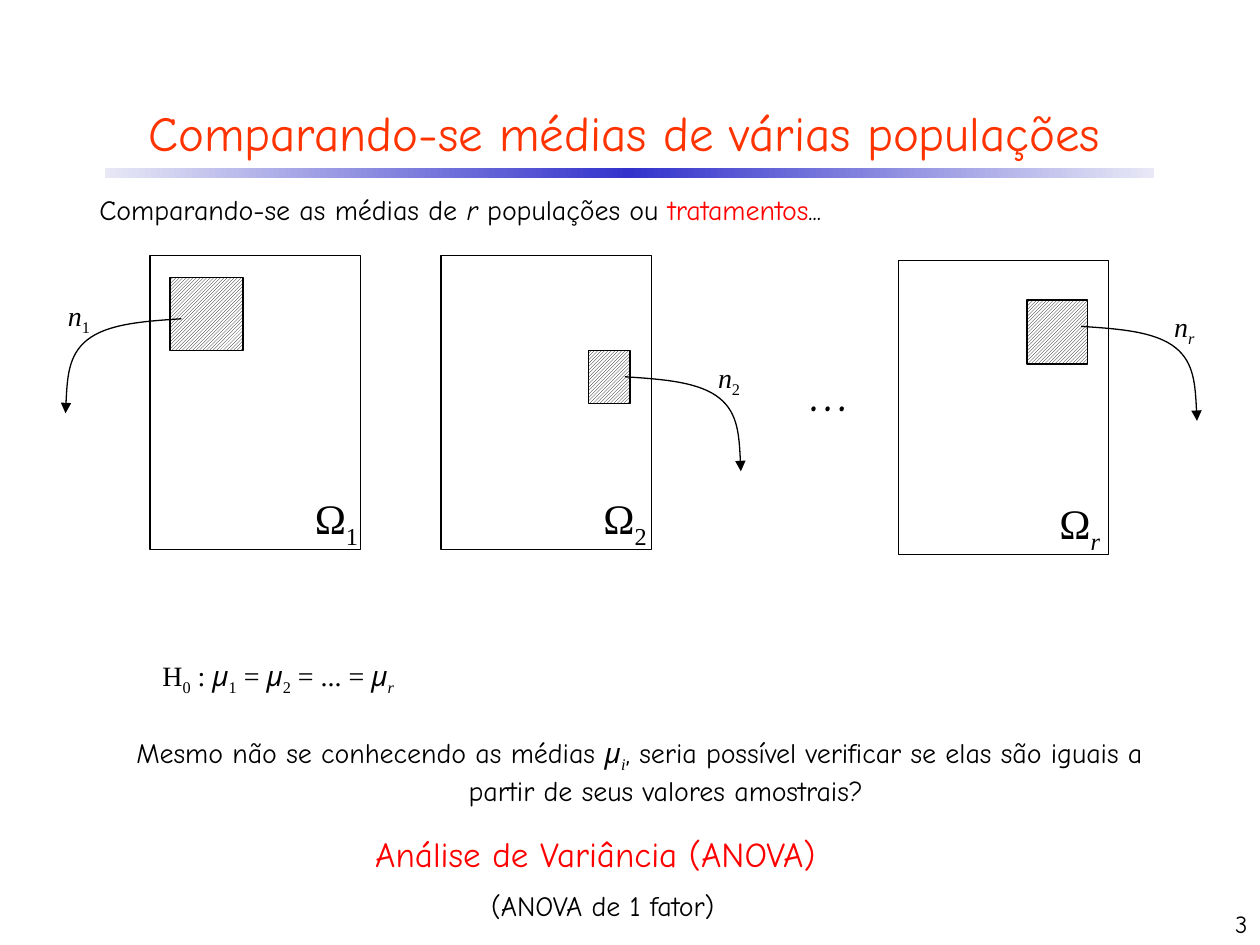
from lxml import etree
from pptx import Presentation
from pptx.dml.color import RGBColor
from pptx.enum.dml import MSO_PATTERN
from pptx.enum.shapes import MSO_SHAPE
from pptx.enum.text import MSO_ANCHOR, MSO_AUTO_SIZE, PP_ALIGN
from pptx.oxml.ns import qn
from pptx.util import Inches, Pt

COMIC, TIMES = "Comic Neue", "Times New Roman"
BLACK, RED, ORANGE = "000000", "FF0000", "FF3300"
I, SUB = {"i": True}, {"sub": True}
SERIF, SERIF_I = {"font": TIMES}, {"font": TIMES, "i": True}
SUB_T, SUB_I = {**SERIF, **SUB}, {**SERIF_I, **SUB}

TITLE = "Comparando-se médias de várias populações"
# Panel corner, omega box (left, width), sample box, arrow start, direction, n label box
POPULATIONS = [
    {"index": "1", "style": SUB_T, "panel": (1.19, 2.03), "omega": (2.4, 0.57),
     "sample": (1.35, 2.2, 0.58, 0.58), "start": (1.44, 2.53), "dir": -1,
     "label": (0.44, 2.32, 0.39, 0.37)},
    {"index": "2", "style": SUB_T, "panel": (3.5, 2.03), "omega": (4.69, 0.57),
     "sample": (4.67, 2.78, 0.33, 0.42), "start": (4.96, 2.99), "dir": 1,
     "label": (5.6, 2.81, 0.39, 0.37)},
    {"index": "r", "style": SUB_I, "panel": (7.13, 2.07), "omega": (8.31, 0.55),
     "sample": (8.15, 2.38, 0.48, 0.51), "start": (8.58, 2.59), "dir": 1,
     "label": (9.22, 2.41, 0.37, 0.37)},
]
PANEL_SIZE = (1.67, 2.33)
# Bezier control points of the sampling arrow, relative to its start
CURVE = [(0.3, 0.02), (0.59, 0.04), (0.75, 0.17),
         (0.9, 0.29), (0.91, 0.52), (0.92, 0.75)]

INTRO = [("Comparando-se as médias de ", {}), ("r", I), (" populações ou ", {}),
         ("tratamentos", {"color": RED}), ("...", {})]
QUESTION = [("Mesmo não se conhecendo as médias ", {}), ("μ", I), ("i", SUB_I),
            (", seria possível verificar se elas são iguais a partir de seus "
             "valores amostrais?", {})]
HYPOTHESIS = [("H", SERIF), ("0", SUB_T), (" : ", SERIF),
              ("μ", I), ("1", SUB_T), (" = ", SERIF),
              ("μ", I), ("2", SUB_T), (" = ... = ", SERIF),
              ("μ", I), ("r", SUB_I)]

prs = Presentation()
prs.slide_width, prs.slide_height = Inches(10), Inches(7.5)
slide = prs.slides.add_slide(prs.slide_layouts[5])
shapes = slide.shapes


def rgb(value):
    return RGBColor.from_string(value)


def inches(*values):
    return [Inches(v) for v in values]


def add_runs(p, runs, size, color=BLACK):
    for text, style in runs:
        r = p.add_run()
        r.text = text
        r.font.size = Pt(size)
        r.font.name = style.get("font", COMIC)
        r.font.italic = style.get("i", False)
        r.font.color.rgb = rgb(style.get("color", color))
        if style.get("sub"):
            r._r.get_or_add_rPr().set("baseline", "-25000")


def add_text(box, runs, size, color=BLACK, align=PP_ALIGN.LEFT, wrap=False):
    tf = shapes.add_textbox(*inches(*box)).text_frame
    tf.word_wrap = wrap
    tf.auto_size = MSO_AUTO_SIZE.SHAPE_TO_FIT_TEXT
    p = tf.paragraphs[0]
    p.alignment = align
    add_runs(p, runs, size, color)
    return tf


def outline(sp):
    sp.shadow.inherit = False
    sp.line.color.rgb = rgb(BLACK)
    sp.line.width = Pt(0.75)


def add_box(box, hatched=False):
    sp = shapes.add_shape(MSO_SHAPE.RECTANGLE, *inches(*box))
    outline(sp)
    if hatched:
        sp.fill.patterned()
        sp.fill.pattern = MSO_PATTERN.LIGHT_UPWARD_DIAGONAL
        sp.fill.fore_color.rgb = rgb(BLACK)
        sp.fill.back_color.rgb = rgb("FFFFFF")
    else:
        sp.fill.background()


def add_curved_arrow(start, direction):
    x, y = start
    points = [(Inches(x + direction * dx), Inches(y + dy)) for dx, dy in CURVE]
    builder = shapes.build_freeform(Inches(x), Inches(y))
    builder.add_line_segments(points, close=False)
    sp = builder.convert_to_shape()
    outline(sp)
    sp.fill.background()
    # Turn each three line segments into one Bezier segment
    path = next(sp._element.iter(qn("a:path")))
    segments = path.findall(qn("a:lnTo"))
    for k in range(0, len(segments), 3):
        bezier = etree.SubElement(path, qn("a:cubicBezTo"))
        for segment in segments[k:k + 3]:
            bezier.append(segment[0])
            path.remove(segment)
    ln = sp.line._get_or_add_ln()
    etree.SubElement(ln, qn("a:tailEnd"), type="triangle")


# Title and gradient rule
bar = shapes.add_shape(MSO_SHAPE.RECTANGLE, *inches(0.83, 1.33, 8.33, 0.08))
bar.shadow.inherit = False
bar.line.fill.background()
bar.fill.gradient()
bar.fill.gradient_angle = 0
stops = bar.fill._fill._gradFill.find(qn("a:gsLst"))
for stop in list(stops):
    stops.remove(stop)
for pos, color in ((0, "E8E8F6"), (50000, "3333CC"), (100000, "E8E8F6")):
    gs = etree.SubElement(stops, qn("a:gs"), pos=str(pos))
    etree.SubElement(gs, qn("a:srgbClr"), val=color)

title = shapes.title
title.left, title.top, title.width, title.height = inches(0.33, 0.67, 9.25, 0.75)
tf = title.text_frame
tf.auto_size = MSO_AUTO_SIZE.NONE
tf.vertical_anchor = MSO_ANCHOR.MIDDLE
tf.paragraphs[0].alignment = PP_ALIGN.CENTER
add_runs(tf.paragraphs[0], [(TITLE, {})], 28, ORANGE)

# Populations with their samples
for pop in POPULATIONS:
    left, top = pop["panel"]
    omega_left, omega_width = pop["omega"]
    index = (pop["index"], pop["style"])
    add_box((left, top, *PANEL_SIZE))
    add_text((omega_left, top + 1.83, omega_width, 0.51), [("Ω", SERIF), index], 24)
    add_box(pop["sample"], hatched=True)
    add_curved_arrow(pop["start"], pop["dir"])
    add_text(pop["label"], [("n", SERIF_I), index], 16)
add_text((6.25, 2.77, 0.65, 0.63), [("…", {})], 32, align=PP_ALIGN.CENTER)

# Statements
add_text((0.69, 1.48, 6.36, 0.37), INTRO, 16)
add_text((1.19, 5.18, 3.42, 0.37), HYPOTHESIS, 16, wrap=True)
question = add_text((0.9, 5.79, 8.35, 0.64), QUESTION, 16,
                    align=PP_ALIGN.CENTER, wrap=True)
pPr = question.paragraphs[0]._p.get_or_add_pPr()
pPr.set("marL", str(Inches(0.42)))
pPr.set("indent", str(Inches(-0.42)))
add_text((2.88, 6.56, 4.16, 0.44), [("Análise de Variância (ANOVA)", {})], 20, RED)
add_text((3.8, 7, 2.32, 0.37), [("(ANOVA de 1 fator)", {})], 16)

# Slide number
number = add_text((7.92, 7, 2.08, 0.5), [("3", {})], 14,
                  align=PP_ALIGN.RIGHT, wrap=True)
number.auto_size = MSO_AUTO_SIZE.NONE
number.vertical_anchor = MSO_ANCHOR.BOTTOM

prs.save("out.pptx")
